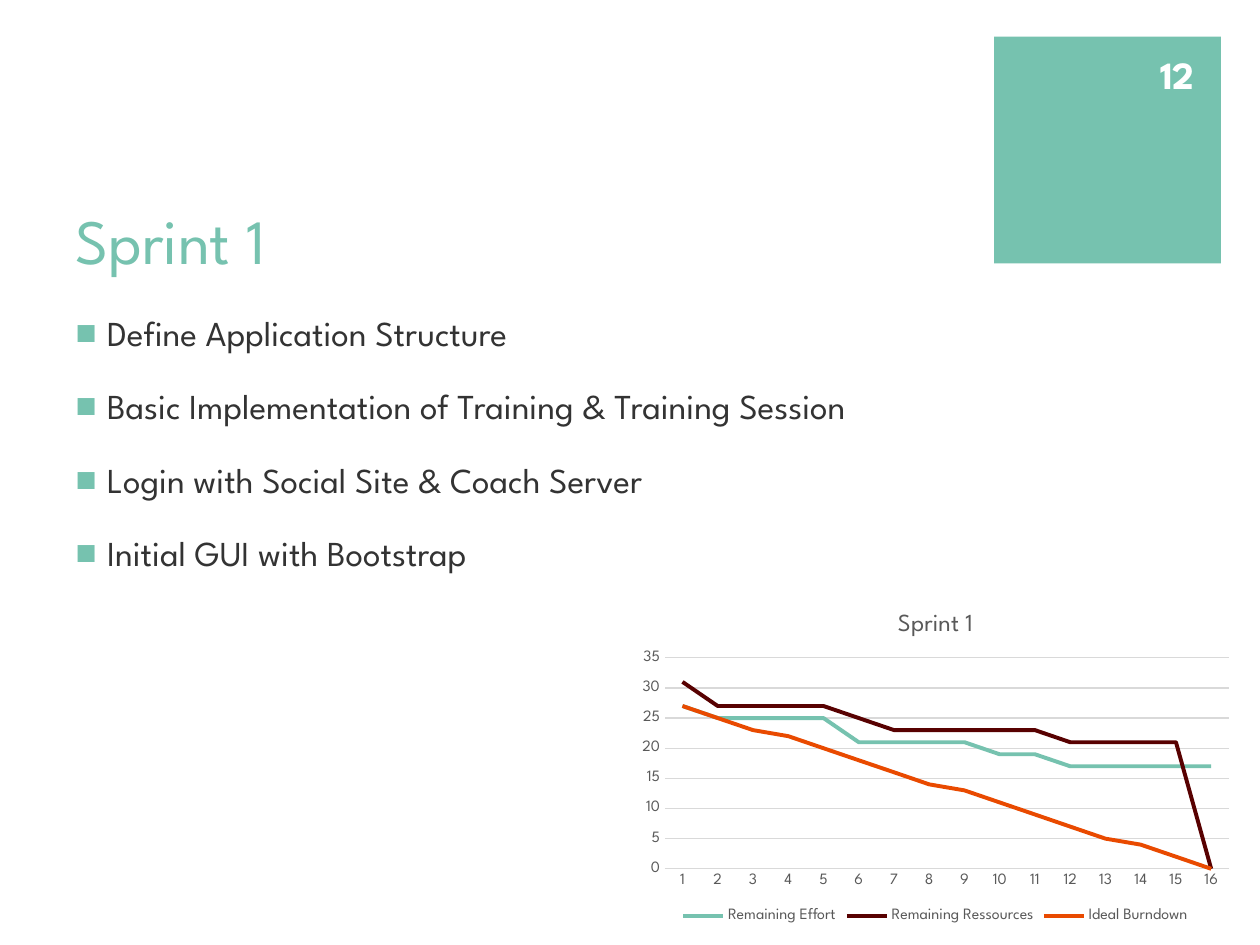
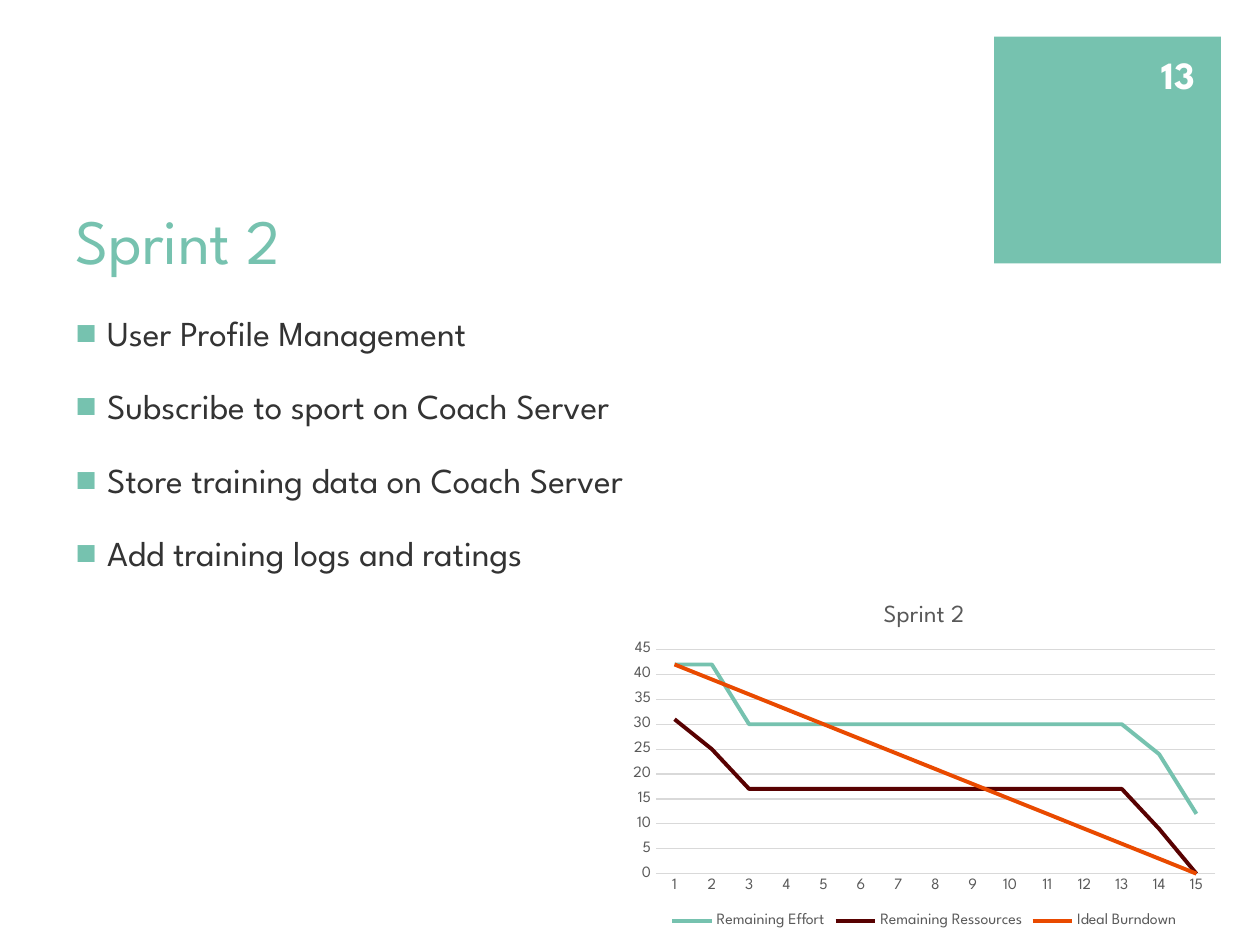
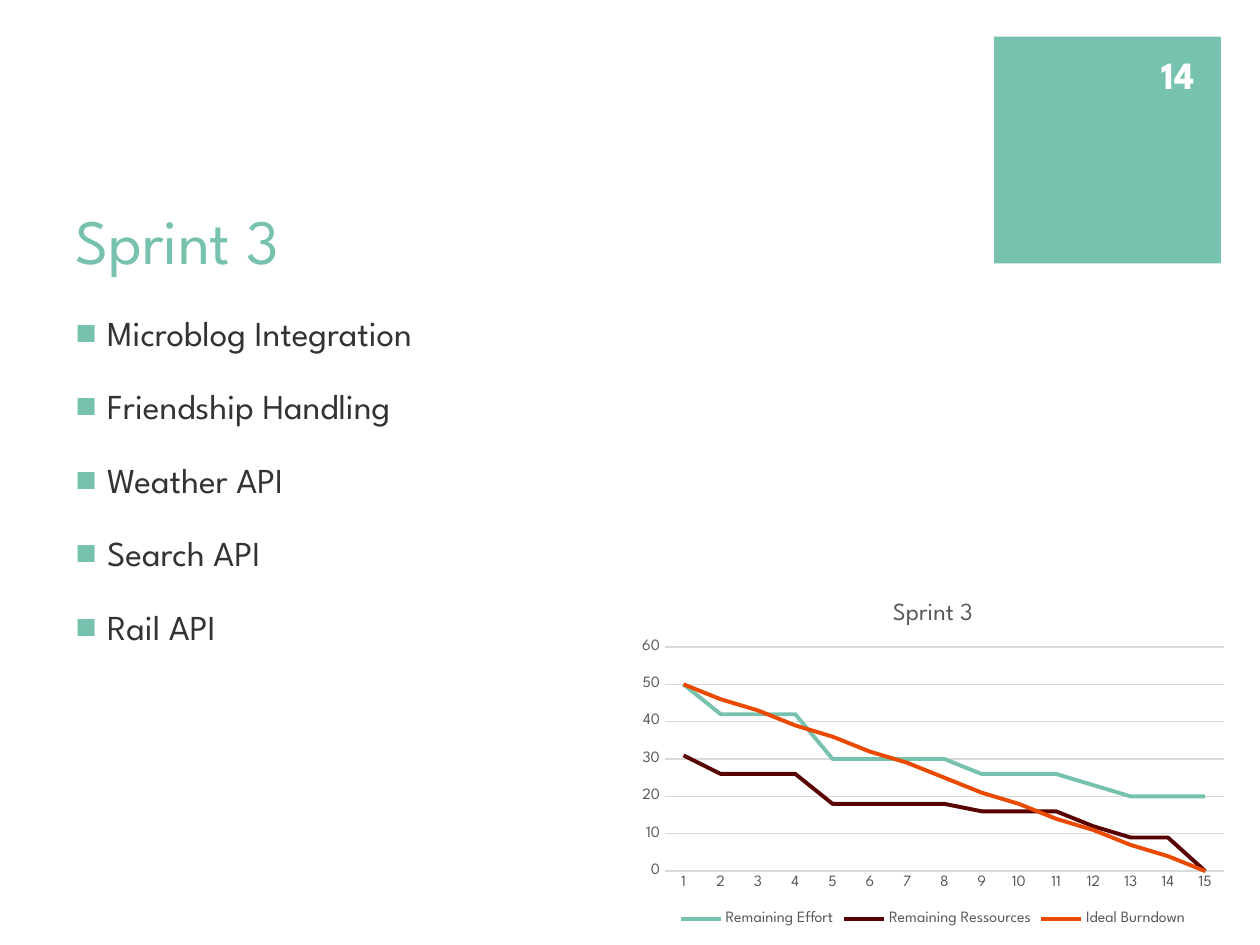
"""Build three sprint review slides with task lists and burndown charts."""
from dataclasses import dataclass

from lxml import etree
from pptx import Presentation
from pptx.chart.data import CategoryChartData
from pptx.dml.color import RGBColor
from pptx.enum import chart as charts, shapes, text
from pptx.oxml.ns import qn
from pptx.util import Inches, Pt


@dataclass(frozen=True)
class Theme:
    """Colours, font and type sizes shared by the slides."""
    font: str = "League Spartan"
    accent: str = "76C2AF"
    resources: str = "580101"
    ideal: str = "E94A00"
    body: str = "333333"
    label: str = "595959"
    grid: str = "D9D9D9"
    white: str = "FFFFFF"
    title_size: int = 36
    body_size: int = 20
    number_size: int = 22
    chart_title_size: int = 14
    label_size: int = 9


@dataclass(frozen=True)
class Sprint:
    """Content of one sprint slide."""
    name: str
    tasks: tuple
    effort: tuple
    resources: tuple
    chart_box: tuple
    axis_max: int
    axis_step: int


THEME = Theme()
FIRST_NUMBER = 12

SPRINTS = (
    Sprint(
        "Sprint 1",
        ("Define Application Structure",
         "Basic Implementation of Training & Training Session",
         "Login with Social Site & Coach Server",
         "Initial GUI with Bootstrap"),
        (27, 25, 25, 25, 25, 21, 21, 21, 21, 19, 19, 17, 17, 17, 17, 17),
        (31, 27, 27, 27, 27, 25, 23, 23, 23, 23, 23, 21, 21, 21, 21, 0),
        (5, 4.71, 4.85, 2.66), 35, 5),
    Sprint(
        "Sprint 2",
        ("User Profile Management",
         "Subscribe to sport on Coach Server",
         "Store training data on Coach Server",
         "Add training logs and ratings"),
        (42, 42, 30, 30, 30, 30, 30, 30, 30, 30, 30, 30, 30, 24, 12),
        (31, 25, 17, 17, 17, 17, 17, 17, 17, 17, 17, 17, 17, 9, 0),
        (4.93, 4.64, 4.81, 2.77), 45, 5),
    Sprint(
        "Sprint 3",
        ("Microblog Integration", "Friendship Handling", "Weather API",
         "Search API", "Rail API"),
        (50, 42, 42, 42, 30, 30, 30, 30, 26, 26, 26, 23, 20, 20, 20),
        (31, 26, 26, 26, 18, 18, 18, 18, 16, 16, 16, 12, 9, 9, 0),
        (5, 4.62, 4.81, 2.77), 60, 10),
)


def rgb(color):
    """Return a colour object for a hex string."""
    return RGBColor.from_string(color)


def style_font(font, size, color, bold=False):
    """Apply the theme font with a size and colour."""
    font.name = THEME.font
    font.size = Pt(size)
    font.bold = bold
    font.color.rgb = rgb(color)


def style_line(line, color, width):
    """Give a line a colour and a width in points."""
    line.color.rgb = rgb(color)
    line.width = Pt(width)


def place(shape, left, top, width, height):
    """Move and size a shape in inches."""
    shape.left, shape.top = Inches(left), Inches(top)
    shape.width, shape.height = Inches(width), Inches(height)


def set_bullet(paragraph):
    """Give a paragraph a hanging square bullet in the accent colour."""
    properties = paragraph._p.get_or_add_pPr()
    properties.set("marL", str(Inches(0.25)))
    properties.set("indent", str(Inches(-0.25)))
    color = etree.SubElement(properties, qn("a:buClr"))
    etree.SubElement(color, qn("a:srgbClr"), val=THEME.accent)
    etree.SubElement(properties, qn("a:buChar"), char="■")


def add_number_square(slide, number):
    """Add the accent square and the slide number on it."""
    square = slide.shapes.add_shape(
        shapes.MSO_SHAPE.RECTANGLE,
        Inches(7.89), Inches(0.29), Inches(1.8), Inches(1.8))
    square.shadow.inherit = False
    square.fill.solid()
    square.fill.fore_color.rgb = rgb(THEME.accent)
    square.line.fill.background()

    label = slide.shapes.add_textbox(
        Inches(9.03), Inches(0.39), Inches(0.55), Inches(0.4))
    frame = label.text_frame
    frame.word_wrap = True
    frame.vertical_anchor = text.MSO_ANCHOR.MIDDLE
    paragraph = frame.paragraphs[0]
    paragraph.text = str(number)
    paragraph.alignment = text.PP_ALIGN.RIGHT
    style_font(paragraph.font, THEME.number_size, THEME.white, bold=True)


def fill_title(slide, title):
    """Fill and format the title placeholder."""
    shape = slide.shapes.title
    place(shape, 0.5, 1, 7.12, 1.25)
    frame = shape.text_frame
    frame.vertical_anchor = text.MSO_ANCHOR.BOTTOM
    paragraph = frame.paragraphs[0]
    paragraph.text = title
    paragraph.alignment = text.PP_ALIGN.LEFT
    style_font(paragraph.font, THEME.title_size, THEME.accent)


def fill_tasks(slide, tasks):
    """Fill the body placeholder with a bulleted task list."""
    shape = slide.placeholders[1]
    place(shape, 0.5, 2.42, 7.12, 4.28)
    frame = shape.text_frame
    frame.text = "\n".join(tasks)
    for paragraph in frame.paragraphs:
        paragraph.space_before = Pt(18)
        set_bullet(paragraph)
        style_font(paragraph.font, THEME.body_size, THEME.body)


def ideal_burndown(start, days):
    """Return a straight descent from start to zero in whole numbers."""
    return [round(start * (1 - day / (days - 1))) for day in range(days)]


def style_axes(chart, sprint):
    """Format both axes of a burndown chart."""
    for axis in (chart.category_axis, chart.value_axis):
        axis.major_tick_mark = charts.XL_TICK_MARK.NONE
        axis.minor_tick_mark = charts.XL_TICK_MARK.NONE
        style_font(axis.tick_labels.font, THEME.label_size, THEME.label)
    style_line(chart.category_axis.format.line, THEME.grid, 0.75)
    value_axis = chart.value_axis
    value_axis.minimum_scale = 0
    value_axis.maximum_scale = sprint.axis_max
    value_axis.major_unit = sprint.axis_step
    value_axis.format.line.fill.background()
    style_line(value_axis.major_gridlines.format.line, THEME.grid, 0.75)


def add_burndown(slide, sprint):
    """Add the burndown line chart of a sprint."""
    days = len(sprint.effort)
    data = CategoryChartData()
    data.categories = [str(day) for day in range(1, days + 1)]
    data.add_series("Remaining Effort", sprint.effort)
    data.add_series("Remaining Ressources", sprint.resources)
    data.add_series("Ideal Burndown", ideal_burndown(sprint.effort[0], days))
    chart = slide.shapes.add_chart(
        charts.XL_CHART_TYPE.LINE, *map(Inches, sprint.chart_box), data).chart

    style_font(chart.font, THEME.label_size, THEME.label)
    chart.has_title = True
    chart.chart_title.include_in_layout = False
    paragraph = chart.chart_title.text_frame.paragraphs[0]
    paragraph.text = sprint.name
    style_font(paragraph.font, THEME.chart_title_size, THEME.label)

    chart.has_legend = True
    chart.legend.position = charts.XL_LEGEND_POSITION.BOTTOM
    chart.legend.include_in_layout = False
    style_font(chart.legend.font, THEME.label_size, THEME.label)

    style_axes(chart, sprint)
    plot = chart.plots[0]
    plot.vary_by_categories = False
    colors = (THEME.accent, THEME.resources, THEME.ideal)
    for series, color in zip(plot.series, colors):
        series.smooth = False
        style_line(series.format.line, color, 2.25)


def add_sprint_slide(presentation, number, sprint):
    """Add one complete sprint slide."""
    slide = presentation.slides.add_slide(presentation.slide_layouts[1])
    add_number_square(slide, number)
    fill_title(slide, sprint.name)
    fill_tasks(slide, sprint.tasks)
    add_burndown(slide, sprint)


def main():
    """Build and save the presentation."""
    presentation = Presentation()
    presentation.slide_width = Inches(10)
    presentation.slide_height = Inches(7.5)
    for number, sprint in enumerate(SPRINTS, FIRST_NUMBER):
        add_sprint_slide(presentation, number, sprint)
    presentation.save("out.pptx")


if __name__ == "__main__":
    main()
